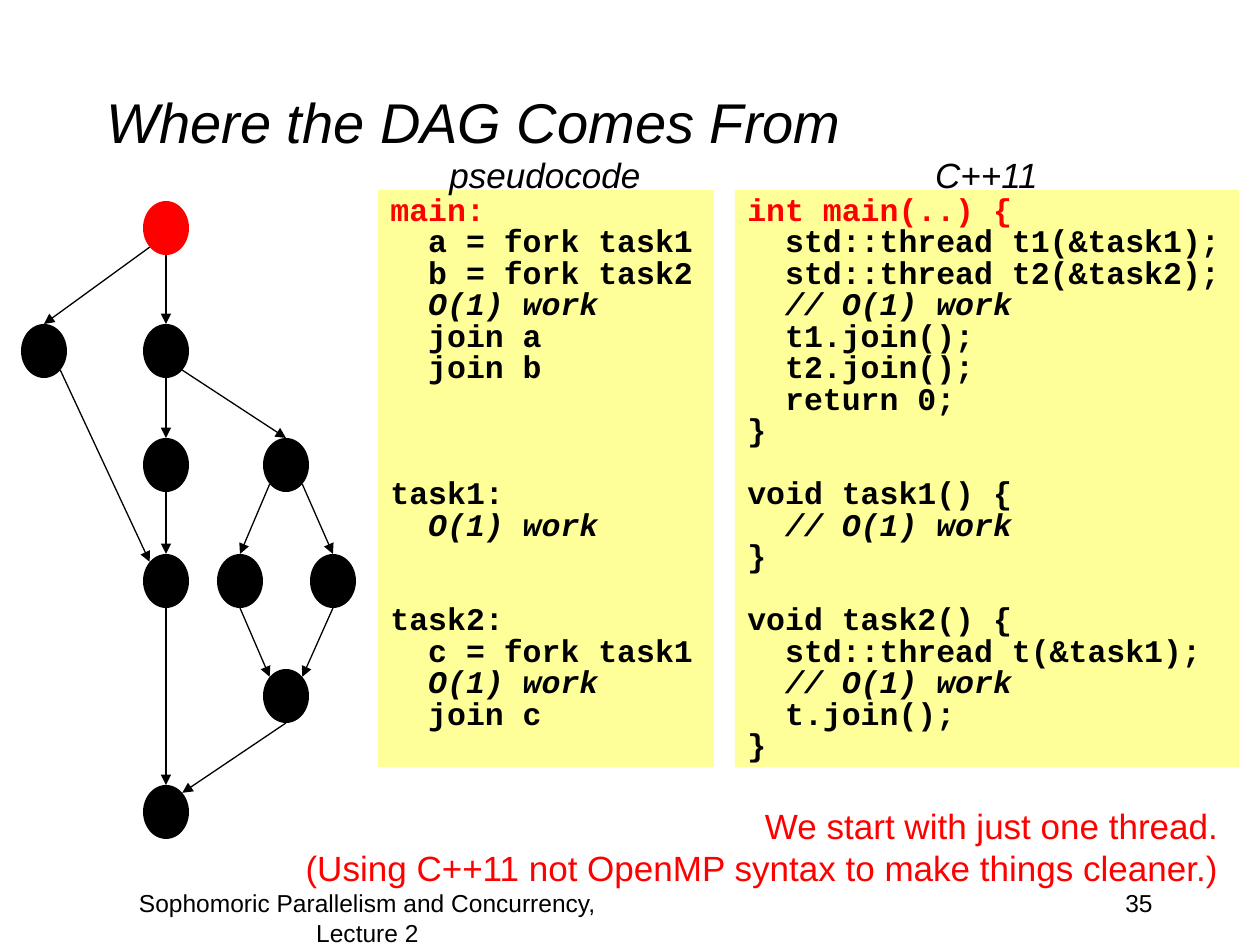
from pptx import Presentation
from pptx.dml.color import RGBColor
from pptx.enum.shapes import MSO_CONNECTOR, MSO_SHAPE
from pptx.enum.text import MSO_ANCHOR, PP_ALIGN
from pptx.oxml.ns import qn
from pptx.util import Emu, Pt
from lxml import etree

PX = 914400 // 126
BLACK = RGBColor(0x00, 0x00, 0x00)
RED = RGBColor(0xFF, 0x00, 0x00)
WHITE = RGBColor(0xFF, 0xFF, 0xFF)
YELLOW = RGBColor(0xFF, 0xFF, 0x99)
LEFT, CENTER, RIGHT = PP_ALIGN.LEFT, PP_ALIGN.CENTER, PP_ALIGN.RIGHT
TOP, MIDDLE = MSO_ANCHOR.TOP, MSO_ANCHOR.MIDDLE
OVAL, RECTANGLE = MSO_SHAPE.OVAL, MSO_SHAPE.RECTANGLE
STRAIGHT = MSO_CONNECTOR.STRAIGHT

# Text boxes: lines, box, size, colour, italic, alignment, anchor, wrap
TITLE = (["Where the DAG Comes From"], (94, 42, 1071, 158), 32, BLACK, True, LEFT, MIDDLE, True)
PAGE = (["35"], (903, 882, 262, 63), 14, BLACK, False, RIGHT, TOP, True)
FOOTER = (["Sophomoric Parallelism and Concurrency, Lecture 2"],
          (84, 882, 567, 63), 14, BLACK, False, CENTER, TOP, True)
REMARK = (["We start with just one thread.",
           "(Using C++11 not OpenMP syntax to make things cleaner.)"],
          (287, 798, 944, 97), 20, RED, False, RIGHT, TOP, False)
PSEUDO_HEADING = (["pseudocode"], (437, 147, 218, 55), 20, BLACK, True, LEFT, TOP, False)
CPP_HEADING = (["C++11"], (922, 147, 129, 55), 20, BLACK, True, CENTER, TOP, False)

# Code panels: left, width, code
CODE_TOP, CODE_HEIGHT, CODE_SIZE = 190, 577, 18
WORK = "O(1) work"
PANELS = [
    (378, 336, """main:
  a = fork task1
  b = fork task2
  O(1) work
  join a
  join b



task1:
  O(1) work


task2:
  c = fork task1
  O(1) work
  join c"""),
    (735, 504, """int main(..) {
  std::thread t1(&task1);
  std::thread t2(&task2);
  // O(1) work
  t1.join();
  t2.join();
  return 0;
}

void task1() {
  // O(1) work
}

void task2() {
  std::thread t(&task1);
  // O(1) work
  t.join();
}"""),
]

# Graph nodes: centre of each
NODE_WIDTH, NODE_HEIGHT = 46, 54
NODES = {
    "start": (166, 228), "first fork": (166, 351), "task1": (44, 351),
    "main work": (166, 465), "join a": (166, 581), "join b": (166, 812),
    "task2": (286, 465), "task2 work": (240, 581), "inner task1": (333, 581),
    "join c": (286, 696),
}
# Places on a node, as fractions of its half size
SITES = {"T": (0, -1), "B": (0, 1), "TL": (-0.71, -0.71), "TR": (0.71, -0.71),
         "BL": (-0.71, 0.71), "BR": (0.71, 0.71)}
EDGES = [
    ("start", "BL", "task1", "T"), ("start", "B", "first fork", "T"),
    ("task1", "BR", "join a", "TL"), ("first fork", "B", "main work", "T"),
    ("first fork", "BR", "task2", "T"), ("main work", "B", "join a", "T"),
    ("join a", "B", "join b", "T"), ("task2", "BL", "task2 work", "T"),
    ("task2", "BR", "inner task1", "T"), ("task2 work", "B", "join c", "TL"),
    ("inner task1", "B", "join c", "TR"), ("join c", "B", "join b", "TR"),
]


def px(*values):
    return [Emu(round(value * PX)) for value in values]


def add_run(paragraph, text, font, size, color, italic=False, bold=False):
    run = paragraph.add_run()
    run.text = text
    run.font.name, run.font.size = font, Pt(size)
    run.font.color.rgb = color
    run.font.italic, run.font.bold = italic, bold


def next_paragraph(frame, index):
    return frame.add_paragraph() if index else frame.paragraphs[0]


def add_text(slide, lines, box, size, color, italic, alignment, anchor, wrap):
    frame = slide.shapes.add_textbox(*px(*box)).text_frame
    frame.word_wrap, frame.vertical_anchor = wrap, anchor
    for index, line in enumerate(lines):
        paragraph = next_paragraph(frame, index)
        paragraph.alignment = alignment
        add_run(paragraph, line, "Arial", size, color, italic)


def add_filled(slide, kind, box, color):
    shape = slide.shapes.add_shape(kind, *px(*box))
    shape.shadow.inherit = False
    shape.fill.solid()
    shape.fill.fore_color.rgb = color
    shape.line.fill.background()
    return shape


def add_code(slide, left, width, code):
    shape = add_filled(slide, RECTANGLE, (left, CODE_TOP, width, CODE_HEIGHT), YELLOW)
    frame = shape.text_frame
    frame.word_wrap, frame.vertical_anchor = True, TOP
    count = skipped = 0
    for line in code.split("\n"):
        if not line:
            skipped += 1
            continue
        paragraph = next_paragraph(frame, count)
        paragraph.alignment = LEFT
        paragraph.line_spacing = Pt(CODE_SIZE)
        paragraph.space_before = Pt(CODE_SIZE * skipped)
        add_run(paragraph, line, "Courier New", CODE_SIZE,
                BLACK if count else RED, WORK in line, True)
        count, skipped = count + 1, 0


def site_point(node, site):
    (x, y), (across, down) = NODES[node], SITES[site]
    return x + across * NODE_WIDTH / 2, y + down * NODE_HEIGHT / 2


def add_arrow(slide, source, source_site, target, target_site):
    points = site_point(source, source_site) + site_point(target, target_site)
    arrow = slide.shapes.add_connector(STRAIGHT, *px(*points))
    arrow.line.color.rgb = BLACK
    arrow.line.width = Pt(0.75)
    etree.SubElement(arrow.line._get_or_add_ln(), qn("a:tailEnd"), type="triangle")
    etree.SubElement(arrow._element.spPr, qn("a:effectLst"))


def main():
    presentation = Presentation()
    presentation.slide_width, presentation.slide_height = px(1260, 945)
    slide = presentation.slides.add_slide(presentation.slide_layouts[6])
    slide.background.fill.solid()
    slide.background.fill.fore_color.rgb = WHITE

    # Title and footer
    for text in (TITLE, PAGE, FOOTER):
        add_text(slide, *text)

    # Task graph
    for name, (x, y) in NODES.items():
        box = (x - NODE_WIDTH / 2, y - NODE_HEIGHT / 2, NODE_WIDTH, NODE_HEIGHT)
        add_filled(slide, OVAL, box, RED if name == "start" else BLACK)
    for edge in EDGES:
        add_arrow(slide, *edge)

    # Code panels, then the remark and headings
    for panel in PANELS:
        add_code(slide, *panel)
    for text in (REMARK, PSEUDO_HEADING, CPP_HEADING):
        add_text(slide, *text)

    presentation.save("out.pptx")


if __name__ == "__main__":
    main()
